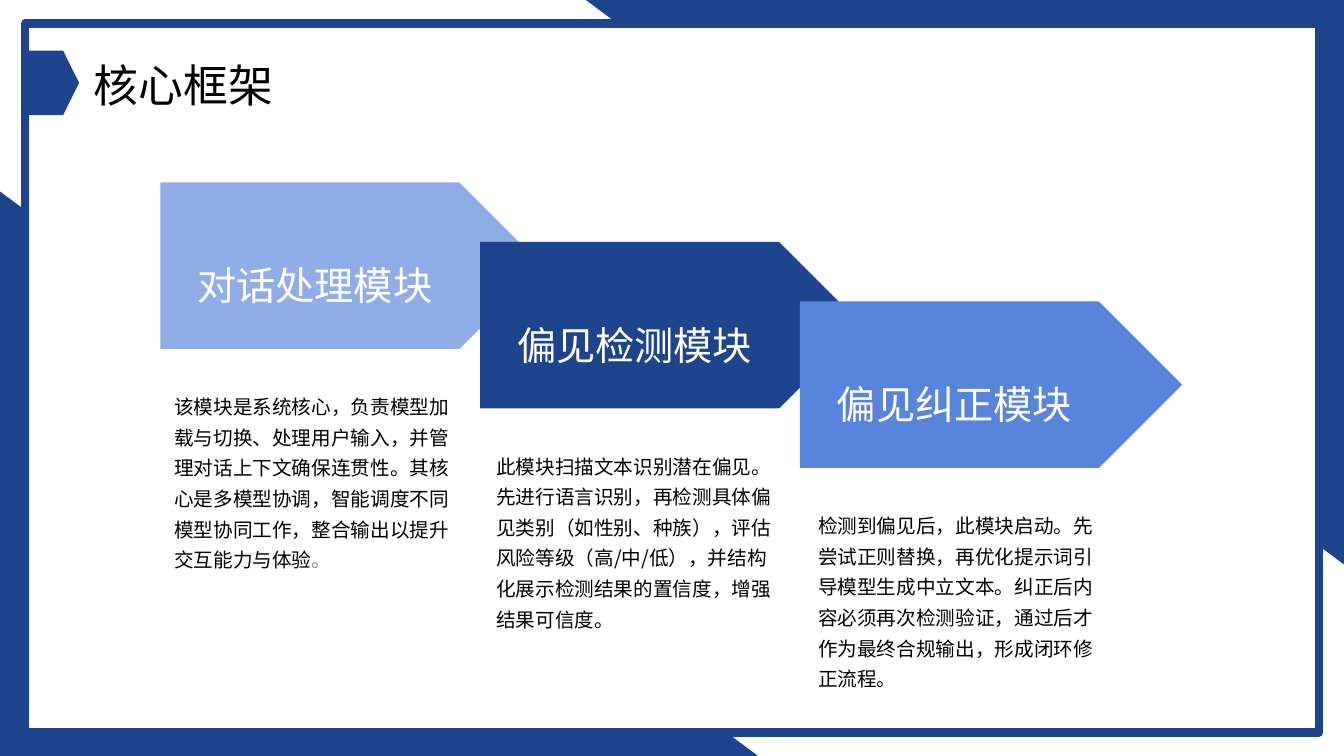
import pptx
import pptx.util
import pptx.dml.color
import pptx.enum.shapes
import pptx.enum.text
import pptx.oxml.ns
import lxml.etree

# Content
TITLE = "核心框架"
# heading, fill, body width, body runs (text, colour)
STEPS = [
    ("对话处理模块", "pale", 203, [
        ("该模块是系统核心，负责模型加载与切换、处理用户输入，并管理对话上下文确保连贯性。"
         "其核心是多模型协调，智能调度不同模型协同工作，整合输出以提升交互能力与体验", "black"),
        ("。", "gray")]),
    ("偏见检测模块", "navy", 201, [
        ("此模块扫描文本识别潜在偏见。先进行语言识别，再检测具体偏见类别（如性别、种族），"
         "评估风险等级（高/中/低），并结构化展示检测结果的置信度，增强结果可信度。", "black")]),
    ("偏见纠正模块", "blue", 208, [
        ("检测到偏见后，此模块启动。先尝试正则替换，再优化提示词引导模型生成中立文本。"
         "纠正后内容必须再次检测验证，通过后才作为最终合规输出，形成闭环修正流程。", "black")]),
]
COLORS = {"navy": "1F448E", "pale": "90ADE7", "blue": "5984DB",
          "white": "FFFFFF", "black": "000000", "gray": "808080"}
FONT = "Noto Sans CJK JP"
WIDE, HIGH = 960, 540

Pt = pptx.util.Pt
KIND = pptx.enum.shapes.MSO_SHAPE
FIT = pptx.enum.text.MSO_AUTO_SIZE

deck = pptx.Presentation()
deck.slide_width, deck.slide_height = Pt(WIDE), Pt(HIGH)
slide = deck.slides.add_slide(deck.slide_layouts[6])


def color(name):
    return pptx.dml.color.RGBColor.from_string(COLORS[name])


def shape(kind, box, fill, adjust=None):
    item = slide.shapes.add_shape(kind, *map(Pt, box))
    item.shadow.inherit = False
    item.fill.solid()
    item.fill.fore_color.rgb = color(fill)
    item.line.fill.background()
    if adjust is not None:
        item.adjustments[0] = adjust
    return item


def text(box, runs, size, wrap=True, inset=(0, 0), space=None):
    frame = slide.shapes.add_textbox(*map(Pt, box)).text_frame
    frame.word_wrap = wrap
    frame.auto_size = FIT.SHAPE_TO_FIT_TEXT
    frame.margin_left = frame.margin_right = Pt(inset[0])
    frame.margin_top = frame.margin_bottom = Pt(inset[1])
    para = frame.paragraphs[0]
    if space:
        para.line_spacing = space
    for words, hue in runs:
        run = para.add_run()
        run.text = words
        run.font.size = Pt(size)
        run.font.name = FONT
        run.font.color.rgb = color(hue)
        # East Asian typeface
        lxml.etree.SubElement(run.font._element, pptx.oxml.ns.qn("a:ea"), typeface=FONT)


# Corner triangles and frame
base, rise = 541.5, 403.2
top = shape(KIND.RIGHT_TRIANGLE, (WIDE - base, 0, base, rise), "navy")
top.rotation = 180
shape(KIND.RIGHT_TRIANGLE, (0, HIGH - rise, base, rise), "navy")
frame = shape(KIND.ROUNDED_RECTANGLE, (18, 16.75, 924, 506.5), "white", 0)
frame.line.color.rgb = color("navy")
frame.line.width = Pt(6)

# Title with its marker
text((59.8, 37.4, 142.6, 46.1), [(TITLE, "black")], 32, wrap=False, inset=(7.2, 3.6))
shape(KIND.PENTAGON, (20.2, 36.2, 36.3, 46), "navy", 0.315)

# Descending steps
for i, (head, fill, width, body) in enumerate(STEPS):
    left, y = 114.6 + 228.4 * i, 130.3 + 42.5 * i
    shape(KIND.PENTAGON, (left, y, 273, 119), fill, 0.5)
    text((left + 26.4, y + 56.6, 170, 33.9), [(head, "white")], 28)
    text((124.4 + 230 * i, y + 147, width, 131.8), body, 14, space=1.3)

deck.save("out.pptx")
